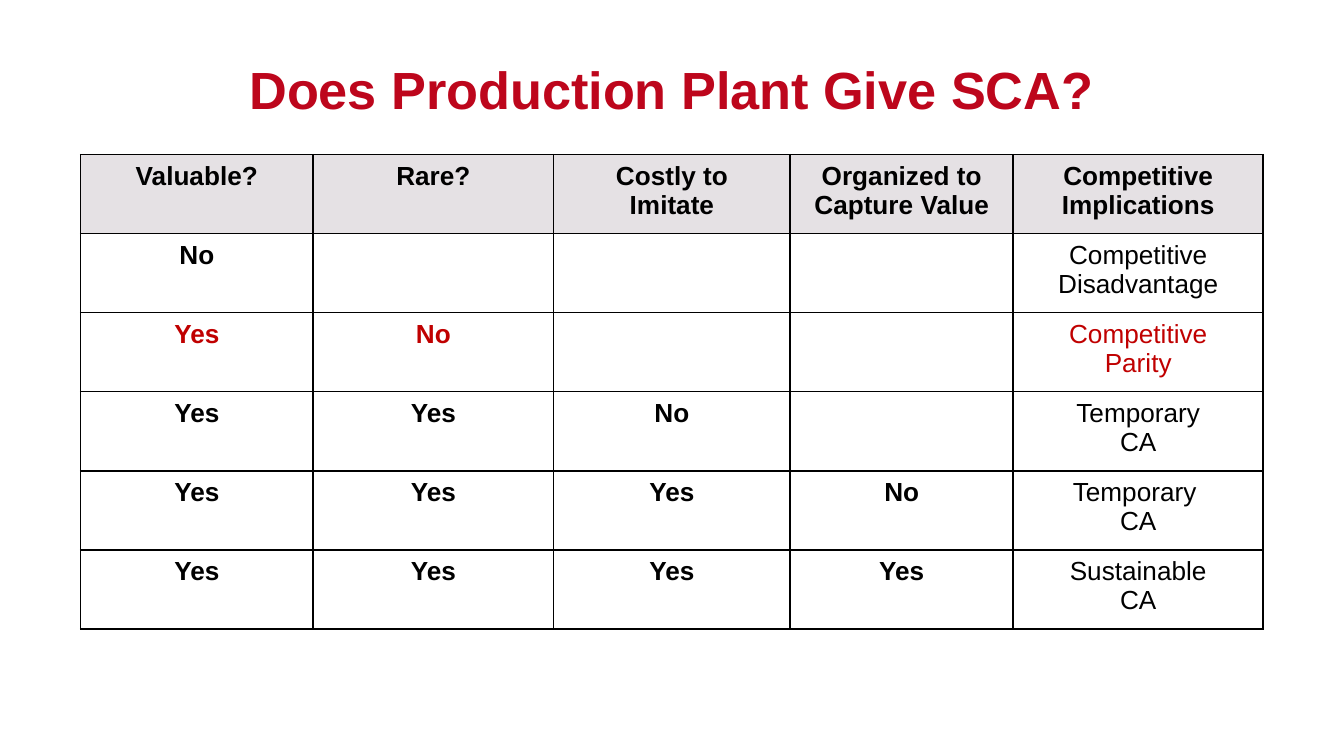
from lxml.etree import SubElement
from pptx import Presentation
from pptx.dml.color import RGBColor
from pptx.enum.text import MSO_ANCHOR, PP_ALIGN
from pptx.oxml.ns import qn
from pptx.util import Inches, Pt

BLACK = RGBColor(0x00, 0x00, 0x00)
WHITE = RGBColor(0xFF, 0xFF, 0xFF)
CRIMSON = RGBColor(0xBD, 0x06, 0x1C)
HIGHLIGHT = RGBColor(0xC0, 0x00, 0x00)
HEADER_FILL = RGBColor(0xE5, 0xE1, 0xE4)

LEFT, WIDTH = 0.6, 8.79
COLUMN_WIDTHS = [1.73, 1.79, 1.76, 1.66, 1.86]
TABLE_HEIGHT = 3.53
HIGHLIGHTED_ROW = 2

VRIO_ROWS = [
    ["Valuable?", "Rare?", "Costly to Imitate", "Organized to Capture Value",
     "Competitive Implications"],
    ["No", "", "", "", "Competitive\nDisadvantage"],
    ["Yes", "No", "", "", "Competitive Parity"],
    ["Yes", "Yes", "No", "", "Temporary\nCA"],
    ["Yes", "Yes", "Yes", "No", "Temporary \nCA"],
    ["Yes", "Yes", "Yes", "Yes", "Sustainable\nCA"],
]


class SlideBuilder:
    font = "Arial"
    title_size = Pt(28)
    cell_size = Pt(14)
    border_width = Pt(0.96)

    def __init__(self, slide):
        self.slide = slide

    def format_text(self, frame, size, color, bold):
        for paragraph in frame.paragraphs:
            paragraph.alignment = PP_ALIGN.CENTER
            for run in paragraph.runs:
                run.font.name = self.font
                run.font.size = size
                run.font.bold = bold
                run.font.color.rgb = color

    def add_title(self, text, left, top, width, height):
        title = self.slide.shapes.add_textbox(
            Inches(left), Inches(top), Inches(width), Inches(height))
        frame = title.text_frame
        frame.word_wrap = True
        frame.vertical_anchor = MSO_ANCHOR.BOTTOM
        frame.text = text
        self.format_text(frame, self.title_size, CRIMSON, True)

    def add_borders(self, cell):
        properties = cell._tc.get_or_add_tcPr()
        for position, side in enumerate(("lnL", "lnR", "lnT", "lnB")):
            line = SubElement(properties, qn(f"a:{side}"), w=str(self.border_width))
            fill = SubElement(line, qn("a:solidFill"))
            SubElement(fill, qn("a:srgbClr"), val=str(BLACK))
            properties.insert(position, line)  # borders precede the cell fill

    def add_table(self, rows, left, top, column_widths, height):
        """Add a table with a shaded header, a highlighted row and a plain last column."""
        table = self.slide.shapes.add_table(
            len(rows), len(column_widths), Inches(left), Inches(top),
            Inches(sum(column_widths)), Inches(height)).table
        for column, width in zip(table.columns, column_widths):
            column.width = Inches(width)
        for r, row in enumerate(rows):
            table.rows[r].height = Inches(height / len(rows))
            for c, text in enumerate(row):
                cell = table.cell(r, c)
                cell.margin_left = cell.margin_right = Inches(0.15)
                cell.margin_top = cell.margin_bottom = Inches(0.05)
                cell.fill.solid()
                cell.fill.fore_color.rgb = HEADER_FILL if r == 0 else WHITE
                self.add_borders(cell)
                cell.text_frame.text = text
                self.format_text(
                    cell.text_frame, self.cell_size,
                    HIGHLIGHT if r == HIGHLIGHTED_ROW else BLACK,
                    r == 0 or c < len(row) - 1)


def main():
    presentation = Presentation()
    presentation.slide_width = Inches(10)
    presentation.slide_height = presentation.slide_width * 9 // 16
    slide = presentation.slides.add_slide(presentation.slide_layouts[6])
    builder = SlideBuilder(slide)
    builder.add_title("Does Production Plant Give SCA?", LEFT, 0.09, WIDTH, 0.85)
    builder.add_table(VRIO_ROWS, LEFT, 1.15, COLUMN_WIDTHS, TABLE_HEIGHT)
    presentation.save("out.pptx")


if __name__ == "__main__":
    main()
